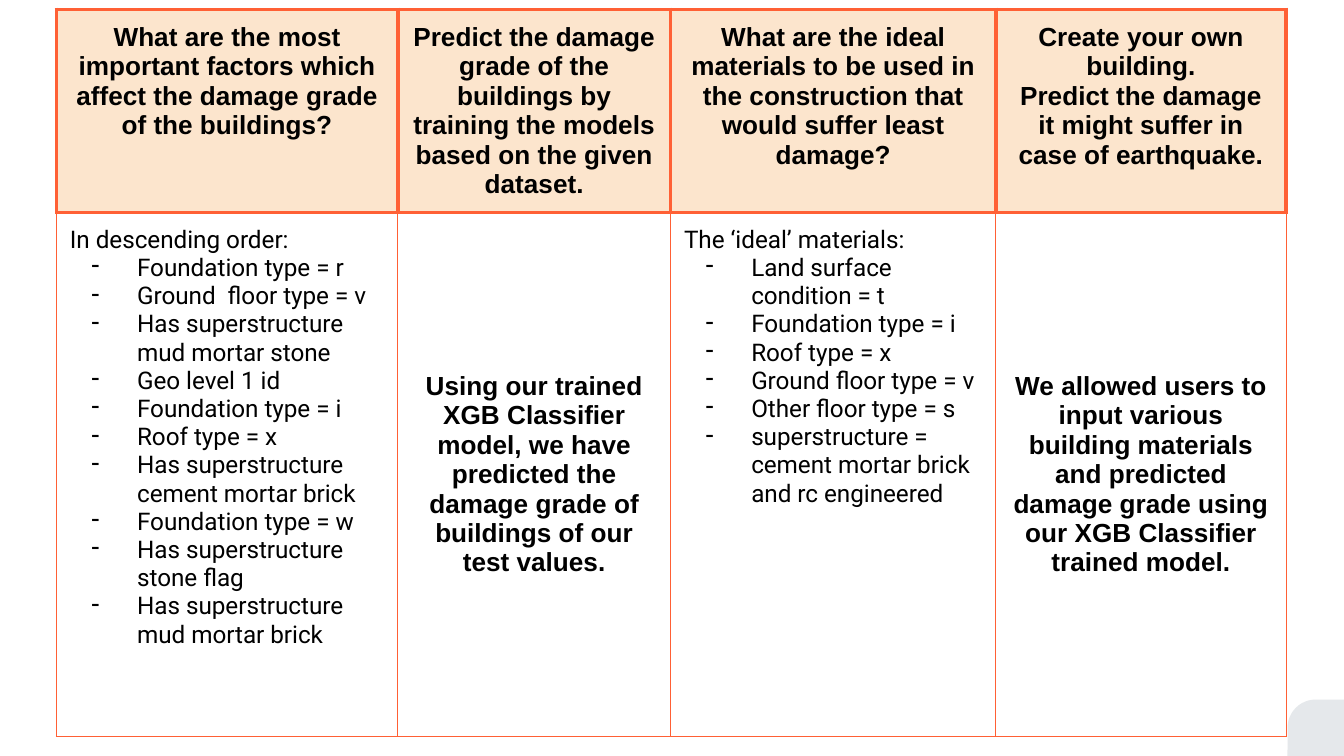
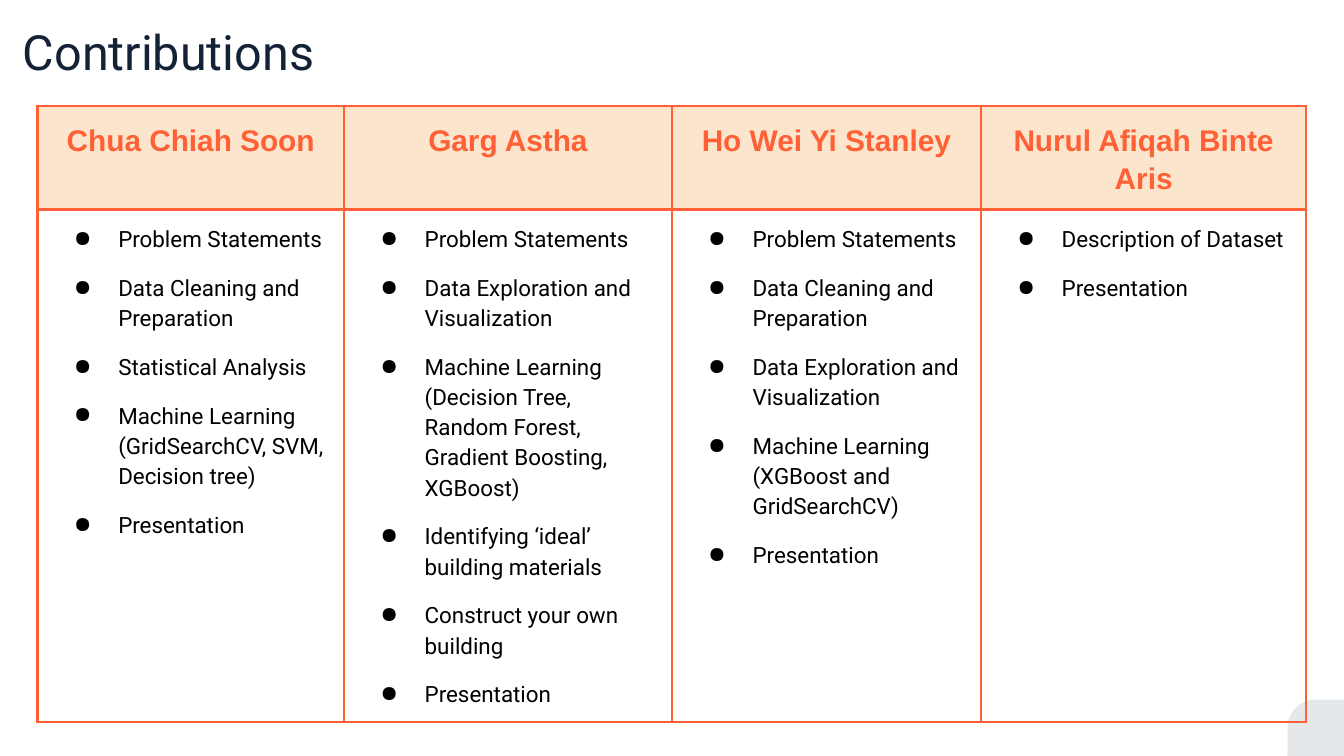
import pptx
import pptx.dml.color
import pptx.enum.shapes
import pptx.enum.text
import pptx.oxml
import pptx.oxml.ns
import pptx.util
from lxml import etree

Inches = pptx.util.Inches
Pt = pptx.util.Pt
ALIGN = pptx.enum.text.PP_ALIGN
ANCHOR = pptx.enum.text.MSO_ANCHOR

COLOURS = {
    "orange": "FF6035",
    "peach": "FCE5CD",
    "navy": "142236",
    "black": "000000",
    "corner": "E5E8EB",
}

# Text styles: one for each kind of table cell
QUESTION = {"font": "Arial", "size": 14, "bold": True, "colour": "black", "align": ALIGN.CENTER}
FINDING = {"font": "Roboto", "size": 13, "bullet": "-", "hang": 0.34, "colour": "black"}
MEMBER = {"font": "Arial", "size": 16, "bold": True, "colour": "orange",
          "align": ALIGN.CENTER, "leading": 1.15}
TASK = {"font": "Roboto", "size": 12, "bullet": "●", "hang": 0.33, "colour": "black",
        "leading": 1.15, "gap": 10}

# Content: one entry for each column, each cell a list of paragraphs
QUESTIONS = [
    {
        "head": ["What are the most important factors which affect the damage grade of the buildings?"],
        "intro": "In descending order:",
        "body": [
            "Foundation type = r",
            "Ground  floor type = v",
            "Has superstructure mud mortar stone",
            "Geo level 1 id",
            "Foundation type = i",
            "Roof type = x",
            "Has superstructure cement mortar brick",
            "Foundation type = w",
            "Has superstructure stone flag",
            "Has superstructure mud mortar brick",
        ],
    },
    {
        "head": ["Predict the damage grade of the buildings by training the models "
                 "based on the given dataset."],
        "body": [
            "Using our trained",
            "XGB Classifier",
            "model, we have predicted the damage grade of buildings of our test values.",
        ],
    },
    {
        "head": ["What are the ideal materials to be used in the construction "
                 "that would suffer least damage?"],
        "intro": "The ‘ideal’ materials:",
        "body": [
            "Land surface condition = t",
            "Foundation type = i",
            "Roof type = x",
            "Ground floor type = v",
            "Other floor type = s",
            "superstructure = cement mortar brick and rc engineered",
        ],
    },
    {
        "head": ["Create your own building.",
                 "Predict the damage it might suffer in case of earthquake."],
        "body": ["We allowed users to input various building materials and predicted "
                 "damage grade using our XGB Classifier trained model."],
    },
]

CONTRIBUTIONS = {
    "Chua Chiah Soon": [
        "Problem Statements",
        "Data Cleaning and Preparation",
        "Statistical Analysis",
        "Machine Learning (GridSearchCV, SVM, Decision tree)",
        "Presentation",
    ],
    "Garg Astha": [
        "Problem Statements",
        "Data Exploration and Visualization",
        "Machine Learning (Decision Tree, Random Forest, Gradient Boosting, XGBoost)",
        "Identifying ‘ideal’ building materials",
        "Construct your own building",
        "Presentation",
    ],
    "Ho Wei Yi Stanley": [
        "Problem Statements",
        "Data Cleaning and Preparation",
        "Data Exploration and Visualization",
        "Machine Learning (XGBoost and GridSearchCV)",
        "Presentation",
    ],
    "Nurul Afiqah Binte Aris": ["Description of Dataset", "Presentation"],
}


def rgb(name):
    return pptx.dml.color.RGBColor.from_string(COLOURS[name])


def add_element(parent, tag, **attributes):
    element = etree.SubElement(parent, pptx.oxml.ns.qn(tag))
    for key, value in attributes.items():
        element.set(key, str(value))
    return element


def add_page(deck, layout):
    """Add a slide with the rounded grey corner at bottom right."""
    page = deck.slides.add_slide(deck.slide_layouts[layout])
    side = Inches(0.42)
    corner = page.shapes.add_shape(
        pptx.enum.shapes.MSO_SHAPE.ROUND_1_RECTANGLE,
        deck.slide_width - side, deck.slide_height - side, side, side)
    corner.adjustments[0] = 0.5
    corner.shadow.inherit = False
    corner.fill.solid()
    corner.fill.fore_color.rgb = rgb("corner")
    corner.line.fill.background()
    corner._element.spPr.xfrm.set("flipH", "1")
    return page


def style_span(span, style):
    span.font.name = style["font"]
    span.font.size = Pt(style["size"])
    span.font.bold = style.get("bold", False)
    span.font.color.rgb = rgb(style["colour"])


def add_bullet(para, style):
    properties = para._p.get_or_add_pPr()
    properties.set("marL", str(Inches(0.5)))
    properties.set("indent", str(-Inches(style["hang"])))
    colour = add_element(properties, "a:buClr")
    add_element(colour, "a:srgbClr", val=COLOURS["black"])
    add_element(properties, "a:buChar", char=style["bullet"])


def fill_cell(cell, lines, style, intro=None):
    """Write the paragraphs of a cell; the intro line carries no bullet."""
    texts = ([intro] if intro else []) + lines
    cell.text_frame.text = "\n".join(texts)
    paras = cell.text_frame.paragraphs
    for index, para in enumerate(paras):
        if "bullet" in style and not (intro and index == 0):
            add_bullet(para, style)
        para.alignment = style.get("align", ALIGN.LEFT)
        para.line_spacing = style.get("leading", 1.0)
        if "gap" in style:
            if index > 0:
                para.space_before = Pt(style["gap"])
            if index == len(paras) - 1:
                para.space_after = Pt(style["gap"])
        for span in para.runs:
            style_span(span, style)


def frame_cell(cell, widths, fill=None):
    """Set insets, the left, right, top and bottom borders, then the fill."""
    cell.margin_left = cell.margin_right = Inches(0.1)
    cell.margin_top = cell.margin_bottom = Inches(0.1)
    properties = cell._tc.get_or_add_tcPr()
    for edge, width in zip("LRTB", widths):
        line = add_element(properties, f"a:ln{edge}", w=Pt(width))
        solid = add_element(line, "a:solidFill")
        add_element(solid, "a:srgbClr", val=COLOURS["orange"])
    if fill:
        cell.fill.solid()
        cell.fill.fore_color.rgb = rgb(fill)
    else:
        cell.fill.background()


def add_grid(page, left, top, columns, rows, head_line, body_line):
    """Add a table with a peach head row and an open body row."""
    frame = page.shapes.add_table(
        len(rows), len(columns), Inches(left), Inches(top),
        Inches(sum(columns)), Inches(sum(rows)))
    table = frame.table
    table.first_row = table.horz_banding = False
    for column, width in zip(table.columns, columns):
        column.width = Inches(width)
    for row, height in zip(table.rows, rows):
        row.height = Inches(height)
    for index in range(len(columns)):
        frame_cell(table.cell(0, index), [head_line] * 4, "peach")
        frame_cell(table.cell(1, index), [body_line, body_line, head_line, body_line])
    return table


def build_questions(deck):
    page = add_page(deck, 6)
    table = add_grid(page, 0.42, 0.07, [2.54, 2.03, 2.42, 2.16], [1.45, 3.9], 2.25, 0.75)
    for index, column in enumerate(QUESTIONS):
        intro = column.get("intro")
        body = table.cell(1, index)
        fill_cell(table.cell(0, index), column["head"], QUESTION)
        fill_cell(body, column["body"], FINDING if intro else QUESTION, intro)
        if not intro:
            body.vertical_anchor = ANCHOR.MIDDLE


def build_contributions(deck):
    page = add_page(deck, 5)

    # Title
    title = page.shapes.title
    title.left, title.top = Inches(0.17), Inches(0.14)
    title.width, title.height = Inches(3.47), Inches(0.53)
    text_frame = title.text_frame
    text_frame.text = "Contributions"
    text_frame.auto_size = pptx.enum.text.MSO_AUTO_SIZE.NONE
    text_frame.vertical_anchor = ANCHOR.MIDDLE
    text_frame.margin_left = text_frame.margin_right = 0
    text_frame.margin_top = text_frame.margin_bottom = 0
    para = text_frame.paragraphs[0]
    para.alignment = ALIGN.LEFT
    para.line_spacing = 0.9
    style_span(para.runs[0], {"font": "Roboto", "size": 26, "colour": "navy"})

    # Members and their tasks
    table = add_grid(page, 0.28, 0.79, [2.28, 2.44, 2.3, 2.42], [0.73, 3.64], 1.5, 1.5)
    for index, (member, tasks) in enumerate(CONTRIBUTIONS.items()):
        fill_cell(table.cell(0, index), [member], MEMBER)
        fill_cell(table.cell(1, index), tasks, TASK)


def main():
    deck = pptx.Presentation()
    deck.slide_width, deck.slide_height = Inches(10), Inches(5.625)
    build_questions(deck)
    build_contributions(deck)
    deck.save("out.pptx")


if __name__ == "__main__":
    main()
